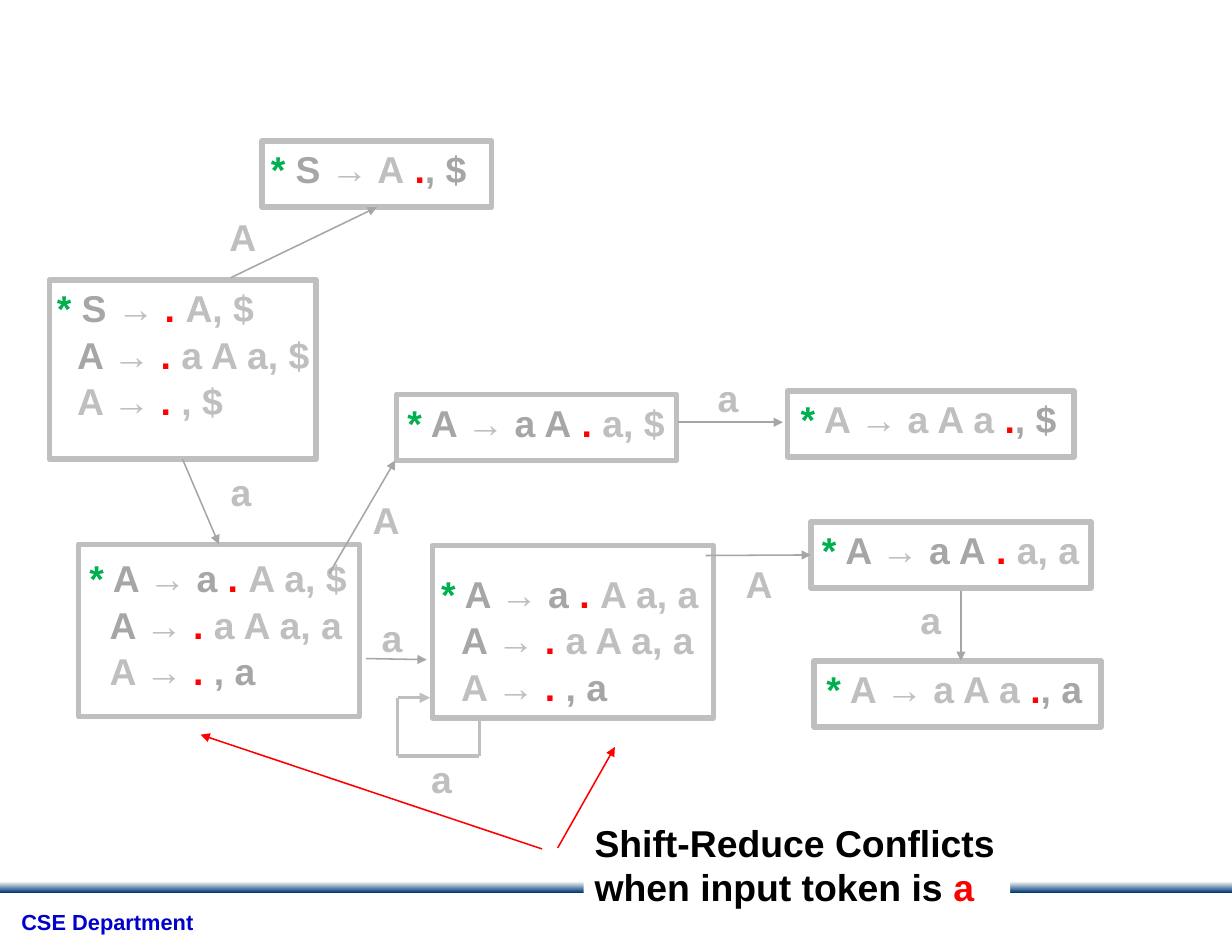
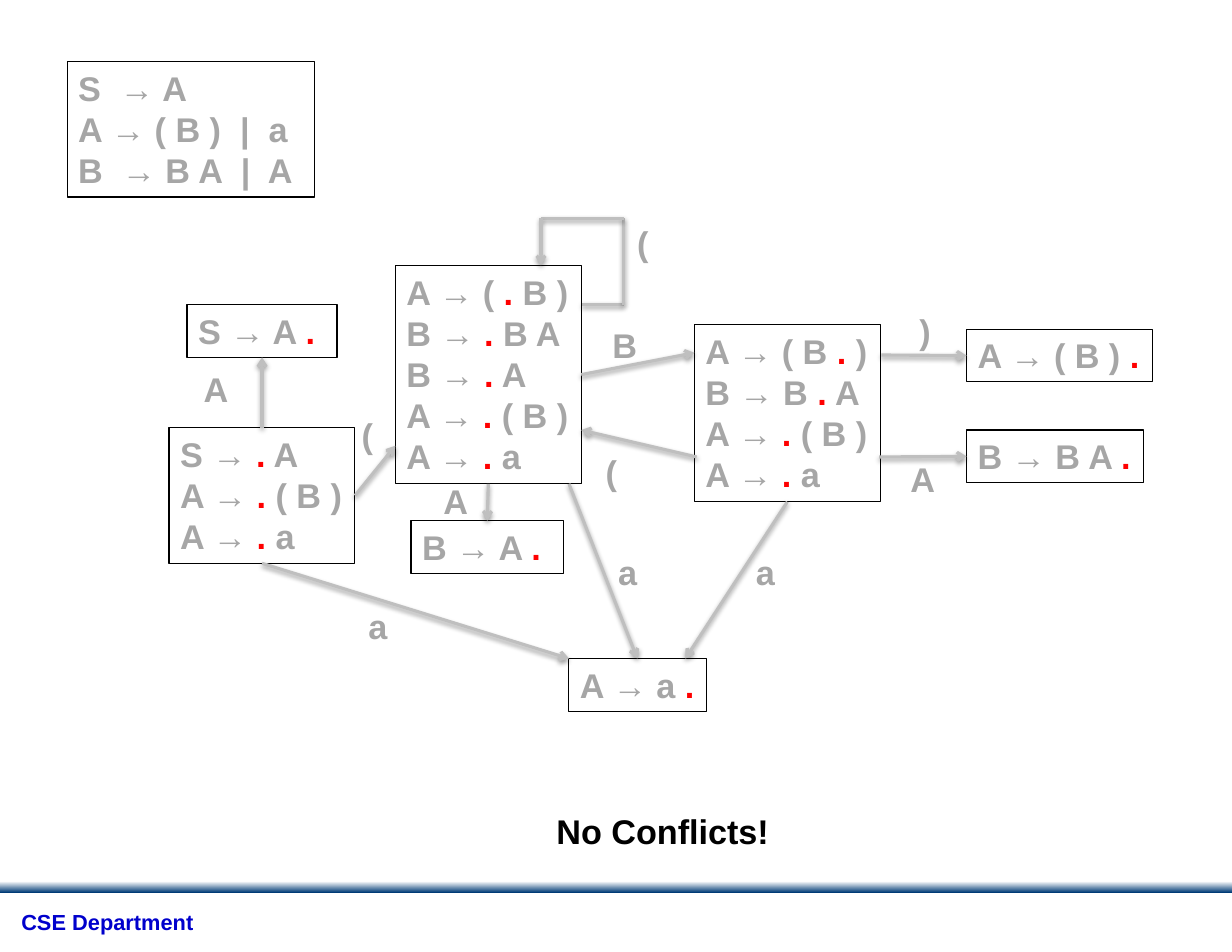
from dataclasses import dataclass

from lxml import etree
from pptx import Presentation
from pptx.dml.color import RGBColor
from pptx.enum.shapes import MSO_CONNECTOR, MSO_SHAPE
from pptx.enum.text import MSO_ANCHOR, MSO_AUTO_SIZE, PP_ALIGN
from pptx.oxml.ns import qn
from pptx.util import Pt

STRAIGHT = MSO_CONNECTOR.STRAIGHT
RECTANGLE = MSO_SHAPE.RECTANGLE
TOP_ANCHOR = MSO_ANCHOR.TOP
GROW = MSO_AUTO_SIZE.SHAPE_TO_FIT_TEXT
LEFT_ALIGN = PP_ALIGN.LEFT

EMU_PER_PX = 9144  # 100 px to the inch
TOP, LEFT, BOTTOM, RIGHT = range(4)


@dataclass(frozen=True)
class Stroke:
    colour: str
    width: float
    arrow: str = "triangle"
    shadow: bool = False


@dataclass(frozen=True)
class Theme:
    font: str = "Arial"
    black: str = "000000"
    white: str = "FFFFFF"
    navy: str = "003B76"
    blue: str = "0000CC"
    green: str = "00B050"
    red: str = "FF0000"
    grey: str = "A6A6A6"
    light: str = "BFBFBF"
    footer_size: int = 14
    large: int = 24
    medium: int = 22
    thin_frame: float = 0.75
    thick_frame: float = 3.5


THEME = Theme()
TRANSITION = Stroke(THEME.grey, 1)
SELF_LOOP = Stroke(THEME.light, 2.25)
CONFLICT = Stroke(THEME.red, 1)
SHADED = Stroke(THEME.light, 2, "arrow", True)
LABEL_WIDTHS = {"A": 43, "B": 43, "a": 38, "(": 31, ")": 31}


def px(value):
    return value * EMU_PER_PX


def rgb(colour):
    return RGBColor.from_string(colour)


def fitted_height(line_count, size):
    return round(10 + line_count * size * 1.685)


def with_red_dot(line, colour):
    """Split a line at its dot, which is red."""
    before, dot, after = line.partition(".")
    runs = [(before, colour), (dot, THEME.red), (after, colour)]
    return [run for run in runs if run[0]]


class Deck:
    def __init__(self, theme):
        self.theme = theme
        self.presentation = Presentation()
        self.presentation.slide_width = px(1100)
        self.presentation.slide_height = px(850)
        self.slide = None

    def new_slide(self):
        """Start a slide with the shared band and footer."""
        theme = self.theme
        self.slide = self.presentation.slides.add_slide(self.presentation.slide_layouts[6])
        band = self.rectangle((0, 787, 1100, 10))
        band.line.fill.background()
        band.fill.gradient()
        band.fill.gradient_angle = 270
        for stop, colour in zip(band.fill.gradient_stops, (theme.white, theme.navy)):
            stop.color.rgb = rgb(colour)
        footer = self.text((8, 808, 178, 33), [[("CSE Department", theme.blue)]],
                           theme.footer_size, insets=(11, 6))
        footer.text_frame.paragraphs[0].line_spacing = 0.9

    def rectangle(self, box):
        shape = self.slide.shapes.add_shape(RECTANGLE, *map(px, box))
        shape.shadow.inherit = False
        return shape

    def frame(self, box):
        shape = self.rectangle(box)
        shape.fill.background()
        self.outline(shape, self.theme.light, self.theme.thick_frame)
        return shape

    def outline(self, shape, colour, width):
        shape.line.color.rgb = rgb(colour)
        shape.line.width = Pt(width)

    def text(self, box, paragraphs, size, wrap=False, insets=(10, 5), space_after=None):
        """Write paragraphs, each a list of (text, colour) runs."""
        shape = self.slide.shapes.add_textbox(*map(px, box))
        frame = shape.text_frame
        frame.word_wrap = wrap
        frame.auto_size = GROW
        frame.vertical_anchor = TOP_ANCHOR
        frame.margin_left = frame.margin_right = px(insets[0])
        frame.margin_top = frame.margin_bottom = px(insets[1])
        for index, runs in enumerate(paragraphs):
            paragraph = frame.add_paragraph() if index else frame.paragraphs[0]
            paragraph.alignment = LEFT_ALIGN
            if space_after:
                paragraph.space_after = Pt(space_after)
            for words, colour in runs:
                run = paragraph.add_run()
                run.text = words
                run.font.name = self.theme.font
                run.font.size = Pt(size)
                run.font.bold = True
                run.font.color.rgb = rgb(colour)
        return shape

    def starred_state(self, text_box, frame_box, items, wrap=False, first_spacing=None):
        """Frame a state whose first item is starred and the others indented."""
        shape = self.text(text_box, items, self.theme.large, wrap, space_after=1)
        first, *others = shape.text_frame.paragraphs
        if first_spacing:
            first.line_spacing = first_spacing
        for paragraph in others:
            properties = paragraph._p.get_or_add_pPr()
            properties.set("marL", str(px(18)))
            properties.set("indent", "0")
        return self.frame(frame_box)

    def dotted_state(self, left, top, width, *lines):
        theme = self.theme
        box = (left, top, width, fitted_height(len(lines), theme.medium))
        shape = self.text(box, [with_red_dot(line, theme.grey) for line in lines], theme.medium)
        self.outline(shape, theme.black, theme.thin_frame)
        return shape

    def labels(self, places, colour, size):
        for letter, left, top in places:
            box = (left, top, LABEL_WIDTHS[letter], fitted_height(1, size))
            self.text(box, [[(letter, colour)]], size)

    def line(self, start, end, stroke, arrow=True):
        """Draw a line; an end is (x, y) or (shape, side)."""
        joined = [not isinstance(place[0], int) for place in (start, end)]
        points = []
        for place, is_joined in zip((start, end), joined):
            points += [place[0].left, place[0].top] if is_joined else map(px, place)
        connector = self.slide.shapes.add_connector(STRAIGHT, *points)
        if joined[0]:
            connector.begin_connect(*start)
        if joined[1]:
            connector.end_connect(*end)
        self.outline(connector, stroke.colour, stroke.width)
        if arrow:
            line_xml = connector.line._get_or_add_ln()
            etree.SubElement(line_xml, qn("a:tailEnd"), type=stroke.arrow)
        effects = etree.SubElement(connector._element.spPr, qn("a:effectLst"))
        if stroke.shadow:
            shadow = etree.SubElement(effects, qn("a:outerShdw"), blurRad="40000",
                                      dist="20000", dir="5400000", rotWithShape="0")
            colour = etree.SubElement(shadow, qn("a:srgbClr"), val=self.theme.black)
            etree.SubElement(colour, qn("a:alpha"), val="38000")

    def lines(self, ends, stroke):
        for start, end in ends:
            self.line(start, end, stroke)

    def loop(self, points, stroke):
        """Draw a bent line with an arrowhead at its last point."""
        for start, end in zip(points, points[1:]):
            self.line(start, end, stroke, arrow=end == points[-1])


def build_conflict_slide(deck):
    theme = deck.theme
    grey, light, red = theme.grey, theme.light, theme.red
    star = ("*", theme.green)
    arrow = ("→", light)
    spaced_arrow = ("→ ", light)
    dot = (" . ", red)

    # Items that several states share
    def shift_item(lookahead):
        return [("A ", grey), arrow, dot, (f"a A a, {lookahead}", light)]

    def middle_item(lookahead):
        return [star, (" A ", grey), spaced_arrow, ("a A", grey), (" .", red),
                (f" a, {lookahead}", light)]

    def final_item(lookahead):
        return [star, (" A → a A a ", light), (".", red), (f", {lookahead}", grey)]

    def conflict_items(lookahead):
        return [[star, (" A ", grey), spaced_arrow, ("a", grey), dot,
                 (f"A a, {lookahead}", light)],
                shift_item("a"),
                [("A → ", light), (". ", red), (", a", grey)]]

    deck.new_slide()

    # States
    start = deck.starred_state(
        (41, 250, 246, 134), (44, 250, 238, 160),
        [[star, (" S ", grey), arrow, dot, ("A, $", light)],
         shift_item("$"),
         [("A → ", light), (".", red), (" , $", light)]])
    accept = deck.starred_state(
        (232, 126, 204, 51), (234, 126, 205, 59),
        [[star, (" S ", grey), ("→ A", light), (" .", red), (", $", grey)]])
    outer = deck.starred_state((70, 471, 304, 186), (70, 486, 251, 154),
                               conflict_items("$"), True, 1.5)
    deck.starred_state((384, 485, 304, 186), (386, 487, 251, 154),
                       conflict_items("a"), True, 1.5)
    deck.starred_state((354, 352, 254, 99), (354, 352, 250, 59), [middle_item("$")], True)
    inner_middle = deck.starred_state((724, 466, 254, 99), (724, 466, 250, 59),
                                      [middle_item("a")], True)
    deck.starred_state((705, 349, 259, 51), (703, 349, 256, 59), [final_item("$")])
    deck.starred_state((728, 590, 259, 51), (727, 590, 256, 59), [final_item("a")])

    # Transitions
    deck.lines([((start, BOTTOM), (outer, TOP)),
                ((630, 496), (inner_middle, LEFT)),
                ((858, 528), (858, 590)),
                ((206, 248), (accept, BOTTOM)),
                ((327, 588), (381, 589)),
                ((294, 512), (353, 411)),
                ((605, 377), (699, 377))], TRANSITION)
    deck.loop([(428, 643), (428, 675), (355, 675), (355, 623), (384, 623)], SELF_LOOP)
    deck.labels([("a", 375, 670), ("a", 812, 528), ("a", 196, 414), ("A", 195, 186),
                 ("A", 656, 496), ("a", 331, 544), ("A", 323, 439), ("a", 631, 330)],
                light, theme.large)

    # Conflict note
    note = deck.text((521, 727, 381, 91),
                     [[("Shift-Reduce Conflicts", theme.black)],
                      [("when input token is ", theme.black), ("a", red)]], theme.large)
    note.fill.solid()
    note.fill.fore_color.rgb = rgb(theme.white)
    deck.lines([((484, 758), (179, 656)), ((498, 757), (549, 667))], CONFLICT)


def build_no_conflict_slide(deck):
    theme = deck.theme
    deck.new_slide()

    # Grammar and verdict
    deck.dotted_state(60, 55, 221, "S  → A", "A → ( B )  |  a", "B  → B A  |  A")
    deck.text((487, 719, 213, 47), [[("No Conflicts!", theme.black)]], theme.medium)

    # States
    start = deck.dotted_state(151, 382, 166, "S → . A", "A → . ( B )", "A → . a")
    opened = deck.dotted_state(353, 237, 166, "A → ( . B )", "B → . B A", "B → . A",
                               "A → . ( B )", "A → . a")
    accept = deck.dotted_state(167, 272, 134, "S → A .")
    single = deck.dotted_state(367, 465, 136, "B → A .")
    deck.dotted_state(508, 588, 123, "A → a .")
    listed = deck.dotted_state(620, 290, 166, "A → ( B . )", "B → B . A", "A → . ( B )",
                               "A → . a")
    closed = deck.dotted_state(863, 294, 166, "A → ( B ) .")
    extended = deck.dotted_state(863, 384, 158, "B → B A .")

    # Transitions
    deck.lines([((622, 408), (519, 384)),
                ((start, RIGHT), (353, 398)),
                ((start, TOP), (accept, BOTTOM)),
                ((opened, BOTTOM), (single, TOP)),
                ((opened, RIGHT), (620, 315)),
                ((787, 317), (closed, LEFT)),
                ((785, 408), (extended, LEFT)),
                ((listed, BOTTOM), (612, 588)),
                ((508, 432), (569, 588)),
                ((start, BOTTOM), (508, 588))], SHADED)
    deck.loop([(520, 272), (557, 272), (557, 195), (483, 195), (483, 237)], SHADED)
    deck.labels([("(", 531, 398), ("(", 313, 365), ("A", 172, 324), ("a", 319, 536),
                 ("A", 386, 424), ("B", 537, 285), (")", 811, 272), ("A", 803, 404),
                 ("a", 542, 487), ("a", 665, 487), ("(", 559, 194)],
                theme.grey, theme.medium)


def main():
    deck = Deck(THEME)
    build_conflict_slide(deck)
    build_no_conflict_slide(deck)
    deck.presentation.save("out.pptx")


if __name__ == "__main__":
    main()
